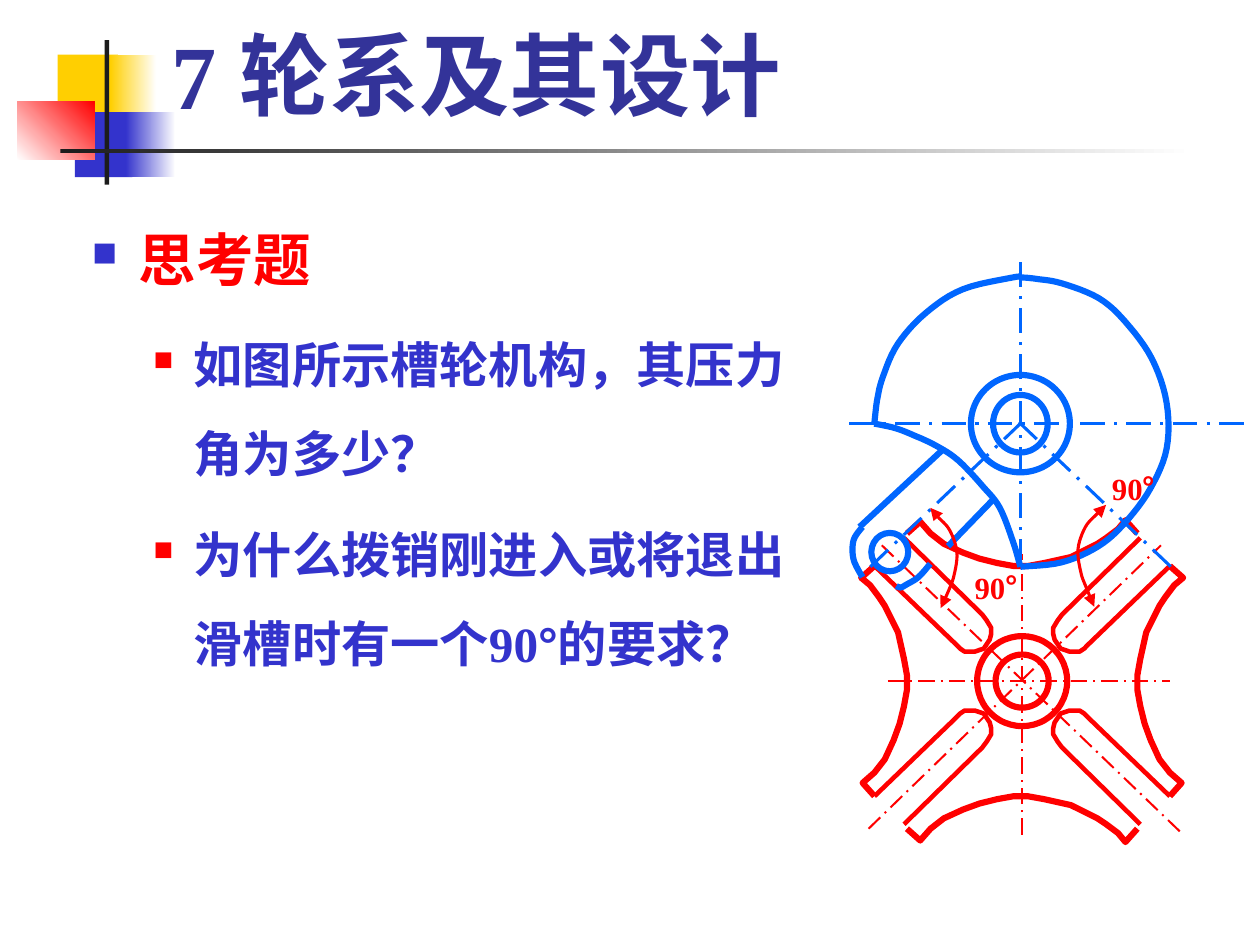
from lxml import etree
from pptx import Presentation
from pptx.dml.color import RGBColor
from pptx.enum.dml import MSO_LINE
from pptx.enum.shapes import MSO_CONNECTOR, MSO_SHAPE
from pptx.enum.text import MSO_ANCHOR, MSO_AUTO_SIZE, PP_ALIGN
from pptx.oxml.ns import qn
from pptx.util import Cm, Pt

RECT, OVAL, STRAIGHT = MSO_SHAPE.RECTANGLE, MSO_SHAPE.OVAL, MSO_CONNECTOR.STRAIGHT
DASH_DOT, CENTER = MSO_LINE.LONG_DASH_DOT, PP_ALIGN.CENTER
TOP, MIDDLE, BOTTOM = MSO_ANCHOR.TOP, MSO_ANCHOR.MIDDLE, MSO_ANCHOR.BOTTOM
FIT_SHAPE = MSO_AUTO_SIZE.SHAPE_TO_FIT_TEXT
COLORS = {"yellow": "FFCF01", "blue": "3333CC", "red": "FF0000", "black": "1C1C1C",
          "white": "FFFFFF", "title": "333399", "crank": "0066FF"}
SERIF, SANS, CJK = "Times New Roman", "Arial", "Noto Sans CJK SC"
UNIT = 0.0254

SLOT = [(-80, -97), (-27, -45), (-24, -41), (-21, -36), (-21, -32), (-22, -28), (-24, -25),
        (-26, -22), (-29, -21), (-32, -20), (-35, -20), (-39, -20), (-42, -22), (-45, -25),
        (-100, -78)]
RIM = [(-100, -78), (-109, -70), (-103, -65), (-97, -57), (-93, -51), (-89, -43), (-84, -33),
       (-82, -24), (-80, -15), (-78, -4), (-78, 6), (-80, 17), (-83, 29), (-87, 40), (-93, 53),
       (-100, 62), (-108, 69), (-100, 78)]
WHEEL_AXES = [(-104, 100, 94, -92), (-95, -92, 108, 103), (-91, 0, 100, 0), (0, 104, 0, -86)]
CRANK_CURVES = [
    [(-99, 1), (-97, -16), (-93, -32), (-83, -54), (-64, -75), (-39, -91), (-5, -99), (1, -99),
     (11, -98), (28, -95), (53, -85), (71, -69), (89, -44), (99, -14), (99, 17), (88, 44),
     (71, 67), (53, 83), (28, 94), (0, 97)],
    [(-99, 0), (-85, 3), (-72, 8), (-57, 15), (-42, 25), (-25, 43), (-14, 57), (-5, 80), (0, 97)],
    [(-107, 70), (-113, 79), (-113, 92), (-107, 104)],
    [(-84, 110), (-81, 111), (-77, 109), (-69, 104), (-61, 95)]]
CRANK_EDGES = [(-49, 83, -19, 52), (-109, 70, -53, 18)]
CRANK_AXES = [(-116, 0, 156, 0), (0, 95, 0, -110), (-1, -1, 103, 98), (1, -1, -109, 104)]
ANGLE_ARCS = [
    [(-61, 57), (-56, 63), (-48, 72), (-43, 87), (-45, 103), (-49, 114), (-54, 125)],
    [(58, 55), (52, 61), (44, 70), (39, 85), (41, 101), (45, 112), (50, 124)]]


def rgb(name):
    """Return the colour of a palette name."""
    return RGBColor.from_string(COLORS[name])


def smooth(pts, steps=6):
    """Return points along a smooth curve through the given points."""
    ends = [pts[0], *pts, pts[-1]]
    curve = [pts[0]]
    for a, b, c, d in zip(ends, ends[1:], ends[2:], ends[3:]):
        for t in (i / steps for i in range(1, steps + 1)):
            curve.append(tuple(
                (2 * q + (r - p) * t + (2 * p - 5 * q + 4 * r - s) * t ** 2
                 + (3 * q - p - 3 * r + s) * t ** 3) / 2
                for p, q, r, s in zip(a, b, c, d)))
    return curve


def outline(sp, color, width):
    """Give a shape an unfilled outline."""
    sp.shadow.inherit = False
    sp.fill.background()
    sp.line.color.rgb = rgb(color)
    sp.line.width = Pt(width)


def curve(s, center, pts, color, width, arrows=False):
    """Draw an open outline through points around a centre."""
    cx, cy = center
    xy = [(Cm(cx + x * UNIT), Cm(cy + y * UNIT)) for x, y in pts]
    fb = s.shapes.build_freeform(*xy[0])
    fb.add_line_segments(xy[1:], close=False)
    sp = fb.convert_to_shape()
    outline(sp, color, width)
    if arrows:
        for tag in ("a:headEnd", "a:tailEnd"):
            etree.SubElement(sp.line._get_or_add_ln(), qn(tag), type="triangle")


def ring(s, center, x, y, rx, ry, color):
    """Draw an ellipse offset from a centre."""
    cx, cy = center
    sp = s.shapes.add_shape(OVAL, Cm(cx + (x - rx) * UNIT), Cm(cy + (y - ry) * UNIT),
                            Cm(2 * rx * UNIT), Cm(2 * ry * UNIT))
    outline(sp, color, 3)


def segment(s, center, ends, color, width, dash=None):
    """Draw a straight line offset from a centre."""
    cx, cy = center
    x1, y1, x2, y2 = ends
    line = s.shapes.add_connector(STRAIGHT, Cm(cx + x1 * UNIT), Cm(cy + y1 * UNIT),
                                  Cm(cx + x2 * UNIT), Cm(cy + y2 * UNIT))
    etree.SubElement(line._element.spPr, qn("a:effectLst"))
    for key, value in {"width": Pt(width), "dash_style": dash}.items():
        setattr(line.line, key, value)
    line.line.color.rgb = rgb(color)


def text_frame(s, box, anchor, wrap=True):
    """Add a text box and return its frame."""
    tf = s.shapes.add_textbox(*map(Cm, box)).text_frame
    formats = {"word_wrap": wrap, "vertical_anchor": anchor, "margin_left": Cm(0.23),
               "margin_right": Cm(0.23), "margin_top": Cm(0.11), "margin_bottom": Cm(0.11)}
    for key, value in formats.items():
        setattr(tf, key, value)
    return tf


def add_run(p, text, size, color, font=SERIF):
    """Add a bold run to a paragraph."""
    r = p.add_run()
    r.text = text
    for key, value in {"size": Pt(size), "bold": True, "name": font}.items():
        setattr(r.font, key, value)
    r.font.color.rgb = rgb(color)


def emblem(s, left, top):
    """Draw the coloured squares and the crossing bars."""
    parts = [(0.69, 0.25, 1.04, 1.12, ["yellow"], 0),
             (1.6, 0.25, 0.79, 1.12, ["yellow", "white"], 0),
             (0.99, 1.24, 0.99, 1.12, ["blue"], 0),
             (1.86, 1.24, 0.86, 1.12, ["blue", "white"], 0),
             (0, 1.06, 1.33, 1, ["white", "red"], 45),
             (1.5, 0, 0.08, 2.49, ["black"], 0),
             (0.74, 1.87, 19.5, 0.08, ["black", "white"], 0)]
    for x, y, w, h, colors, angle in parts:
        sp = s.shapes.add_shape(RECT, Cm(left + x), Cm(top + y), Cm(w), Cm(h))
        sp.shadow.inherit = False
        sp.line.fill.background()
        if len(colors) == 1:
            sp.fill.solid()
            sp.fill.fore_color.rgb = rgb(colors[0])
            continue
        sp.fill.gradient()
        sp.fill.gradient_angle = angle
        for stop, name, position in zip(sp.fill.gradient_stops, colors, (0, 1)):
            stop.color.rgb = rgb(name)
            stop.position = position


def title(s, box):
    """Write the chapter title."""
    p = text_frame(s, box, BOTTOM).paragraphs[0]
    add_run(p, "7 轮系及其设计", 44, "title")


def questions(s, box):
    """Write the bulleted questions."""
    tf = text_frame(s, box, TOP)
    items = [([("思考题", SERIF)], 0, 28, "red", "blue", 60, 0.81, 0.81),
             ([("如图所示槽轮机构，其压力角为多少？", SERIF)], 6, 24, "blue", "red", 55, 1.75, 0.69),
             ([("为什么拨销刚进入或将退出滑槽时有一个90", SERIF), ("°", SANS), ("的要求？", SERIF)],
              6.2, 24, "blue", "red", 55, 1.75, 0.69)]
    for i, (runs, before, size, color, mark, percent, indent, hang) in enumerate(items):
        p = tf.add_paragraph() if i else tf.paragraphs[0]
        for key, value in {"level": min(i, 1), "line_spacing": 1.5,
                           "space_before": Pt(before)}.items():
            setattr(p, key, value)
        pPr = p._p.get_or_add_pPr()
        pPr.set("marL", str(Cm(indent)))
        pPr.set("indent", str(-Cm(hang)))
        bullet = etree.SubElement(pPr, qn("a:buClr"))
        etree.SubElement(bullet, qn("a:srgbClr"), val=COLORS[mark])
        etree.SubElement(pPr, qn("a:buSzPct"), val=str(percent * 1000))
        etree.SubElement(pPr, qn("a:buChar"), char="■")
        for text, font in runs:
            add_run(p, text, size, color, font)


def wheel(s, center):
    """Draw the slotted wheel around its centre."""
    for sx, sy in ((1, 1), (-1, 1), (1, -1), (-1, -1)):
        curve(s, center, [(sx * x, sy * y) for x, y in SLOT], "red", 2.25)
    for radius in (30.5, 18):
        ring(s, center, 0, 0, radius, radius, "red")
    for sign in (1, -1):
        curve(s, center, [(sign * x, y) for x, y in RIM], "red", 3)
        curve(s, center, [(-y, sign * x) for x, y in RIM], "red", 3)
    for ends in WHEEL_AXES:
        segment(s, center, ends, "red", 1, DASH_DOT)


def crank(s, center):
    """Draw the driving crank around its pivot."""
    for pts in CRANK_CURVES:
        curve(s, center, smooth(pts), "crank", 3)
    for x, y, rx, ry in ((0, 0, 33.5, 33), (0, 0, 18.5, 19.5), (-88.5, 87, 12.5, 13)):
        ring(s, center, x, y, rx, ry, "crank")
    for ends in CRANK_EDGES:
        segment(s, center, ends, "crank", 3)
    for ends in CRANK_AXES:
        segment(s, center, ends, "crank", 1.5, DASH_DOT)


def angles(s, center):
    """Mark both right angles around the crank pivot."""
    cx, cy = center
    for pts, (x, y) in zip(ANGLE_ARCS, ((-44, 94), (49, 27))):
        curve(s, center, smooth(pts), "red", 1.5, arrows=True)
        box = (cx + x * UNIT, cy + y * UNIT, 1.4, 0.86)
        tf = text_frame(s, box, MIDDLE, wrap=False)
        tf.auto_size = FIT_SHAPE
        p = tf.paragraphs[0]
        p.alignment = CENTER
        add_run(p, "90", 15, "red")
        add_run(p, "°", 15, "red", CJK)


def mechanism(s, left, top):
    """Draw the Geneva mechanism in its box."""
    pivot = (left + 2.95, top + 2.79)
    wheel(s, (left + 2.98, top + 7.22))
    crank(s, pivot)
    angles(s, pivot)


def main():
    """Build and save the slide."""
    prs = Presentation()
    prs.slide_width, prs.slide_height = Cm(21.67), Cm(16.26)
    s = prs.slides.add_slide(prs.slide_layouts[6])
    emblem(s, 0.3, 0.69)
    title(s, (2.72, 0.23, 18.47, 2.08))
    questions(s, (1.35, 3.15, 12.57, 12.14))
    mechanism(s, 14.6, 4.5)
    prs.save("out.pptx")


if __name__ == "__main__":
    main()
